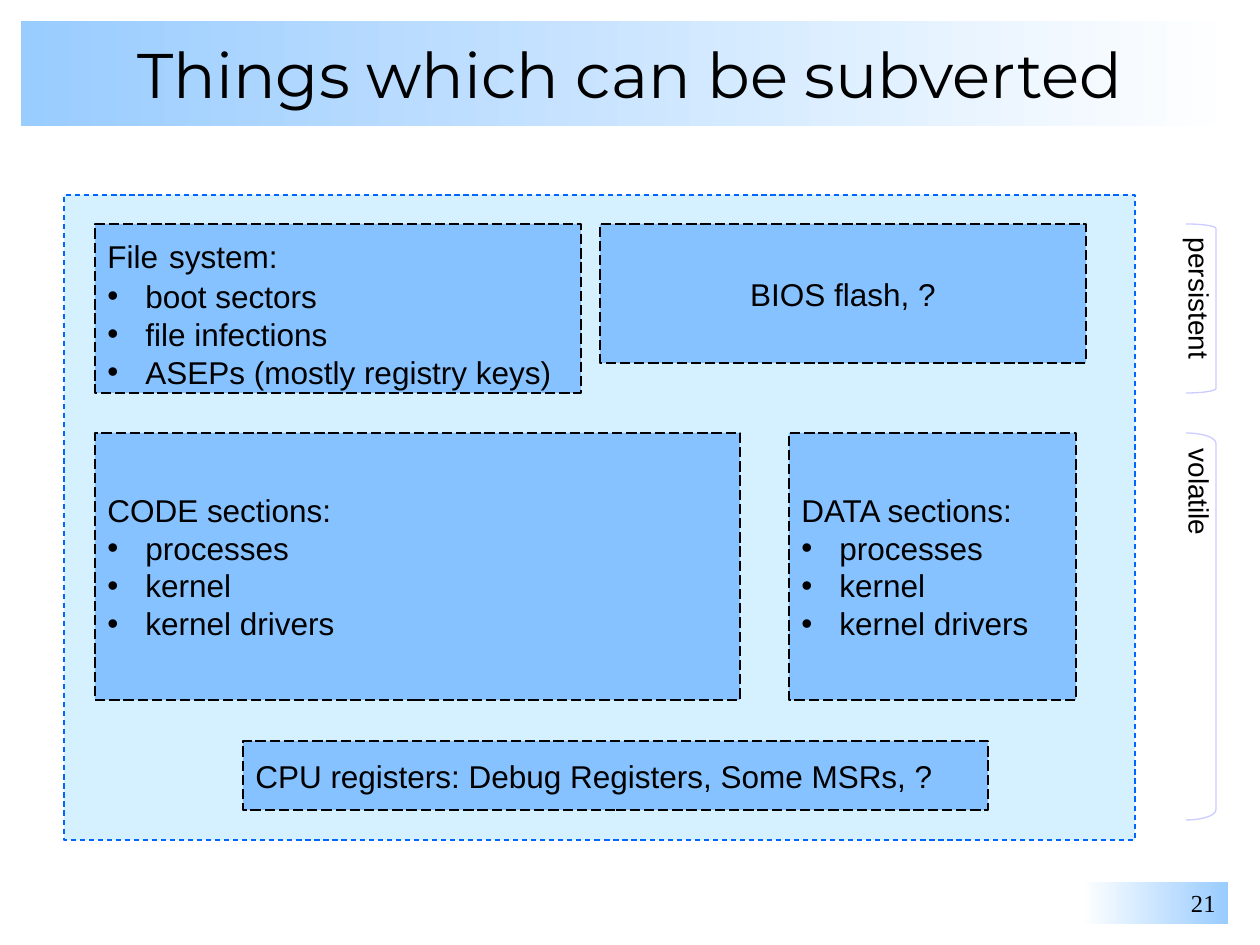
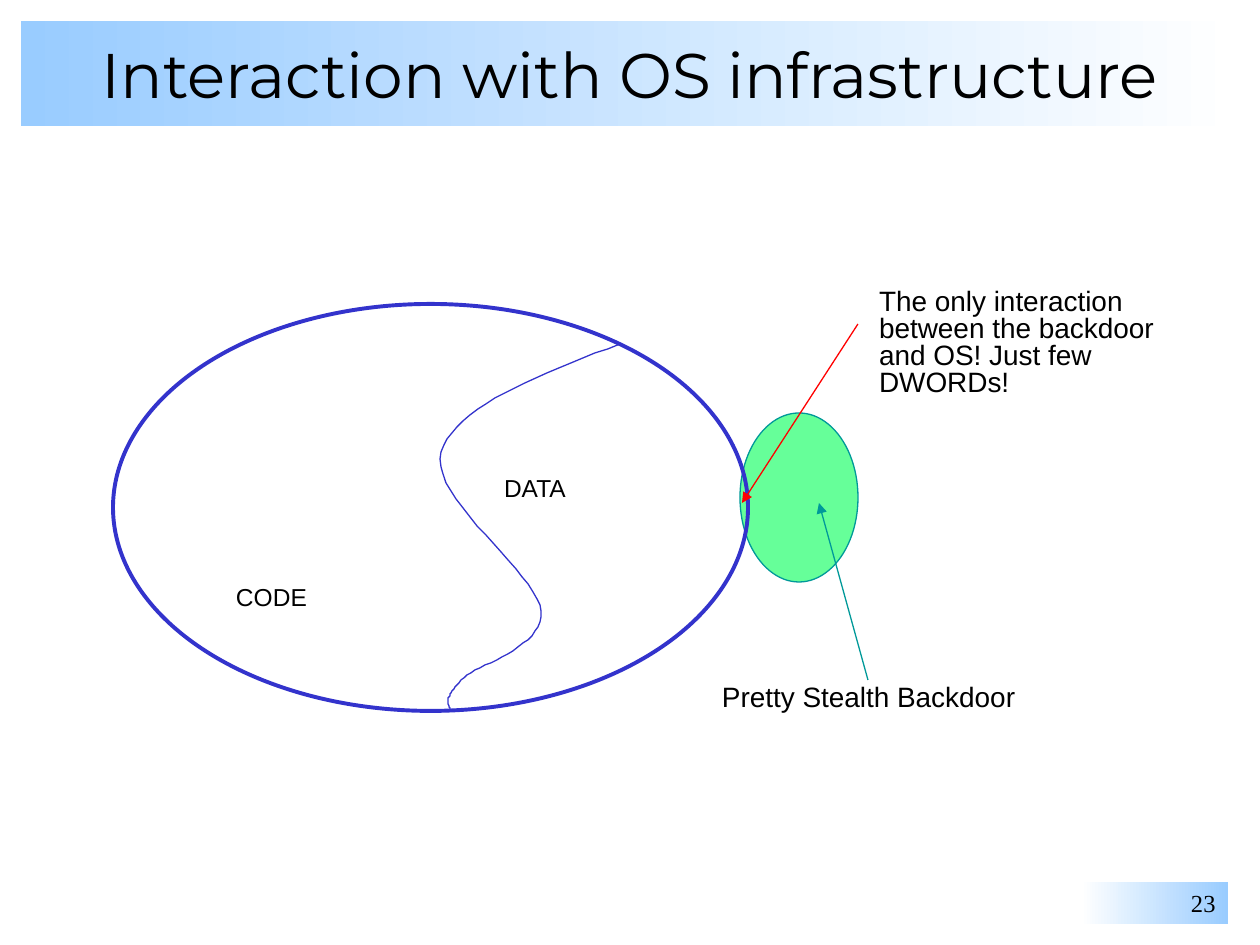
from lxml import etree
from pptx import Presentation
from pptx import util as u
from pptx.dml.color import RGBColor
from pptx.enum import dml, shapes, text
from pptx.oxml.ns import qn

# Shared look
PX = 914400 // 126
SKY = RGBColor(0x99, 0xCC, 0xFF)
WHITE = RGBColor(0xFF, 0xFF, 0xFF)
BLACK = RGBColor(0, 0, 0)
PANEL = RGBColor(0xD5, 0xF1, 0xFF)
PANEL_EDGE = RGBColor(0, 0x66, 0xFF)
AREA = RGBColor(0x85, 0xC2, 0xFF)
LILAC = RGBColor(0xCC, 0xCC, 0xFF)
INDIGO = RGBColor(0x33, 0x33, 0xCC)
GREEN = RGBColor(0x66, 0xFF, 0x99)
TEAL = RGBColor(0, 0x99, 0x99)
RED = RGBColor(0xFF, 0, 0)
LEFT, CENTER, RIGHT = text.PP_ALIGN.LEFT, text.PP_ALIGN.CENTER, text.PP_ALIGN.RIGHT
RECT, OVAL = shapes.MSO_SHAPE.RECTANGLE, shapes.MSO_SHAPE.OVAL
BULLET_INDENT = 38
TITLE_BAND = (21, 21, 1218, 105)
PAGE_BAND = (1081, 882, 147, 42)

# Content: things which can be subverted
SYSTEM = (64, 195, 1071, 645)
SECTION_PARTS = ["processes", "kernel", "kernel drivers"]
AREAS = [
    ("File system:", ["boot sectors", "file infections", "ASEPs (mostly registry keys)"],
     (95, 224, 486, 169), LEFT),
    ("BIOS flash, ?", [], (600, 224, 486, 139), CENTER),
    ("CODE sections:", SECTION_PARTS, (95, 433, 645, 267), LEFT),
    ("DATA sections:", SECTION_PARTS, (789, 433, 287, 267), LEFT),
    ("CPU registers: Debug Registers, Some MSRs, ?", [], (243, 741, 745, 69), LEFT),
]
LIFETIMES = [("volatile", (1186, 433, 30, 387)), ("persistent", (1186, 224, 30, 169))]

# Content: interaction with OS infrastructure
BACKDOOR = (740, 413, 118, 169)
OS = (113, 304, 635, 407)
BORDER_START = (620, 344)
BORDER_CURVES = [
    ((537, 375), (455, 408), (441, 452)),
    ((428, 498), (538, 573), (541, 611)),
    ((544, 649), (476, 664), (461, 680)),
    ((446, 698), (446, 701), (451, 711)),
]
LABELS = [  # wording, box, left inset, size
    ("Pretty Stealth Backdoor", (709, 680, 358, 40), 13, 16),
    ("The only interaction between the backdoor and OS! Just few DWORDs!",
     (819, 284, 358, 121), 60, 16),
    ("DATA", (491, 473, 218, 37), 13, 14),
    ("CODE", (223, 582, 218, 37), 13, 14),
]
ARROWS = [((868, 680), (819, 503), TEAL), ((858, 324), (742, 503), RED)]


def emu(lengths):
    return [u.Emu(n * PX) for n in lengths]


def style_run(run, size, font="Arial"):
    run.font.size, run.font.name = u.Pt(size), font
    run.font.color.rgb = BLACK


def style_paragraph(paragraph, size, align=LEFT, font="Arial"):
    paragraph.alignment = align
    for run in paragraph.runs:
        style_run(run, size, font)


def paint(shape, fill=None, line=None, width=0.75, dash=None):
    shape.shadow.inherit = False
    if fill is None:
        shape.fill.background()
    else:
        shape.fill.solid()
        shape.fill.fore_color.rgb = fill
    if line is None:
        shape.line.fill.background()
    else:
        shape.line.color.rgb, shape.line.width = line, u.Pt(width)
        shape.line.dash_style = dash


def add_preset(slide, kind, box, *look):
    shape = slide.shapes.add_shape(kind, *emu(box))
    paint(shape, *look)
    return shape


def fade(shape, first, last):
    shape.fill.gradient()
    shape.fill.gradient_angle = 180
    for stop, colour in zip(shape.fill.gradient_stops, (first, last)):
        stop.color.rgb = colour


def add_slide(prs, heading, number):
    slide = prs.slides.add_slide(prs.slide_layouts[5])
    title = slide.shapes.title
    title.left, title.top, title.width, title.height = emu(TITLE_BAND)
    fade(title, WHITE, SKY)
    title.text_frame.text = heading
    title.text_frame.auto_size = text.MSO_AUTO_SIZE.NONE
    title.text_frame.vertical_anchor = text.MSO_ANCHOR.MIDDLE
    style_paragraph(title.text_frame.paragraphs[0], 36, CENTER, "Montserrat")

    page = add_preset(slide, RECT, PAGE_BAND)
    fade(page, SKY, WHITE)
    page.text_frame.text = str(number)
    page.text_frame.vertical_anchor = text.MSO_ANCHOR.TOP
    style_paragraph(page.text_frame.paragraphs[0], 14, RIGHT, "Times New Roman")
    return slide


def add_bullet(paragraph):
    props = paragraph._p.get_or_add_pPr()
    props.set("marL", str(BULLET_INDENT * PX))
    props.set("indent", str(-BULLET_INDENT * PX))
    etree.SubElement(props, qn("a:buFont")).set("typeface", "Arial")
    etree.SubElement(props, qn("a:buChar")).set("char", "•")


def add_area(slide, heading, parts, box, align):
    area = add_preset(slide, RECT, box, AREA, BLACK, 0.75, dml.MSO_LINE.LONG_DASH)
    frame = area.text_frame
    frame.word_wrap = True
    frame.vertical_anchor = text.MSO_ANCHOR.MIDDLE
    frame.text = "\n".join([heading] + parts)
    for paragraph in frame.paragraphs[1:]:
        add_bullet(paragraph)
    for paragraph in frame.paragraphs:
        style_paragraph(paragraph, 18, align)
    return area


def add_lifetime(slide, word, box):
    bracket = add_preset(slide, shapes.MSO_SHAPE.RIGHT_BRACKET, box, None, LILAC)
    bracket.adjustments[0] = box[3] / box[2] / 38
    frame = bracket.text_frame
    frame.margin_left = frame.margin_right = u.Inches(0.05)
    frame.margin_top = frame.margin_bottom = u.Inches(0.1)
    frame.vertical_anchor = text.MSO_ANCHOR.MIDDLE
    frame.word_wrap = False
    bracket._element.txBody.find(qn("a:bodyPr")).set("vert", "eaVert")
    frame.text = word
    frame.paragraphs[0].line_spacing = 0.8
    style_paragraph(frame.paragraphs[0], 16, CENTER)


def curve_points(start, curves, steps=20):
    points = []
    for a, b, end in curves:
        for i in range(1, steps + 1):
            t = i / steps
            s = 1 - t
            points.append(tuple(
                s**3 * p + 3 * s * s * t * q + 3 * s * t * t * r + t**3 * e
                for p, q, r, e in zip(start, a, b, end)))
        start = end
    return points


def add_label(slide, wording, box, inset, size):
    frame = slide.shapes.add_textbox(*emu(box)).text_frame
    frame.word_wrap = True
    frame.margin_left = u.Emu(inset * PX)
    frame.text = wording
    frame.paragraphs[0].line_spacing = 0.8
    style_paragraph(frame.paragraphs[0], size)


def add_arrow(slide, start, end, colour):
    arrow = slide.shapes.add_connector(shapes.MSO_CONNECTOR.STRAIGHT, *emu(start + end))
    arrow.line.color.rgb, arrow.line.width = colour, u.Pt(0.75)
    etree.SubElement(arrow.line._get_or_add_ln(), qn("a:tailEnd")).set("type", "triangle")
    etree.SubElement(arrow._element.spPr, qn("a:effectLst"))


def build_subverted(prs):
    slide = add_slide(prs, "Things which can be subverted", 21)
    add_preset(slide, RECT, SYSTEM, PANEL, PANEL_EDGE, 0.75, dml.MSO_LINE.DASH)
    file_system, *_ = [add_area(slide, *area) for area in AREAS]
    # The file system heading has a larger space between its words
    heading = file_system.text_frame.paragraphs[0]
    heading.text = ""
    for part, size, font in (("File", 18, "Arial"), (" ", 24, "Montserrat"),
                             ("system:", 18, "Arial")):
        run = heading.add_run()
        run.text = part
        style_run(run, size, font)
    for lifetime in LIFETIMES:
        add_lifetime(slide, *lifetime)


def build_interaction(prs):
    slide = add_slide(prs, "Interaction with OS infrastructure", 23)
    add_preset(slide, OVAL, BACKDOOR, GREEN, TEAL)
    add_preset(slide, OVAL, OS, None, INDIGO, 2.25)
    border = slide.shapes.build_freeform(*BORDER_START, scale=PX)
    border.add_line_segments(curve_points(BORDER_START, BORDER_CURVES), close=False)
    paint(border.convert_to_shape(), None, INDIGO)
    for label in LABELS:
        add_label(slide, *label)
    for arrow in ARROWS:
        add_arrow(slide, *arrow)


def main():
    prs = Presentation()
    prs.slide_width, prs.slide_height = u.Inches(10), u.Inches(7.5)
    build_subverted(prs)
    build_interaction(prs)
    prs.save("out.pptx")


if __name__ == "__main__":
    main()
